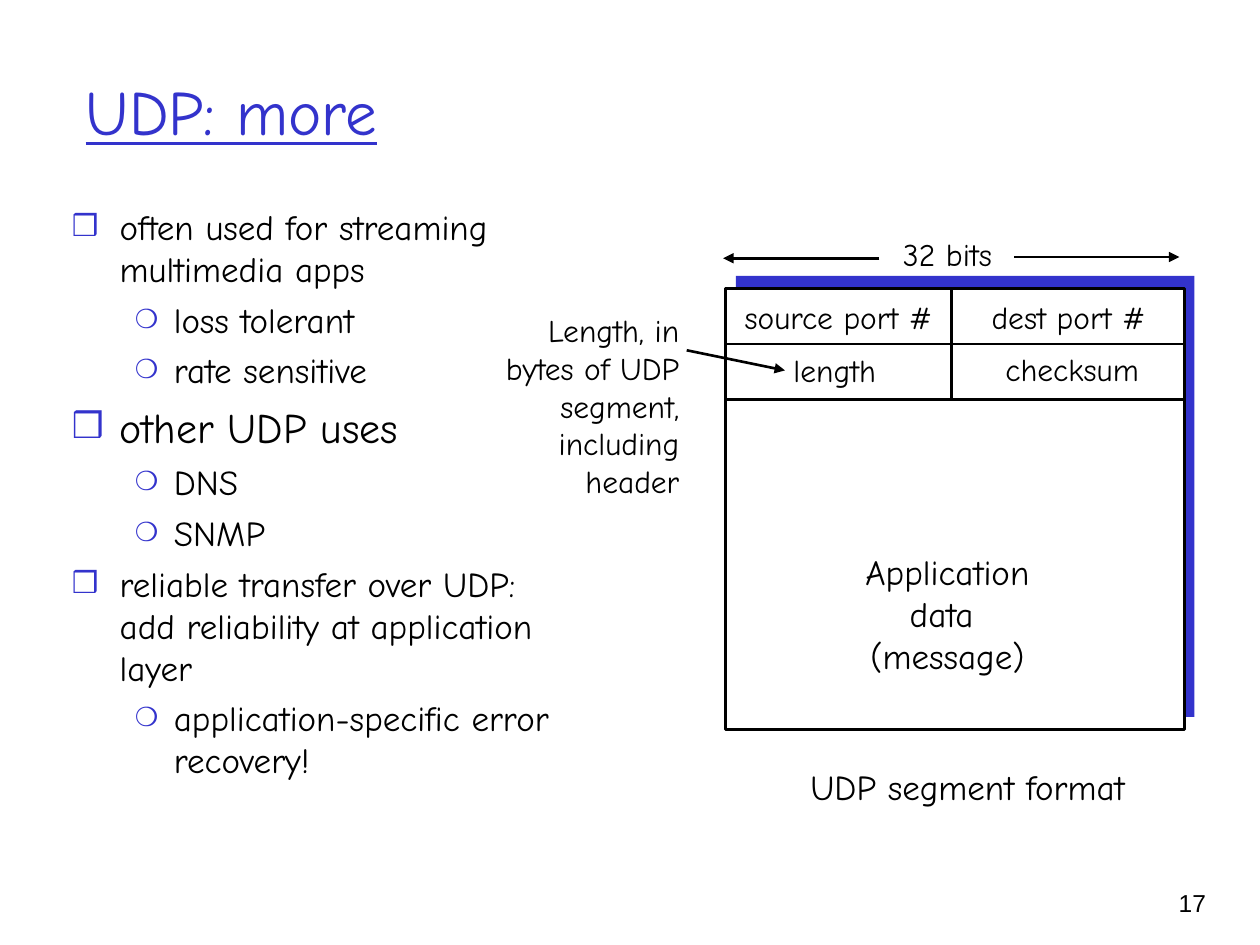
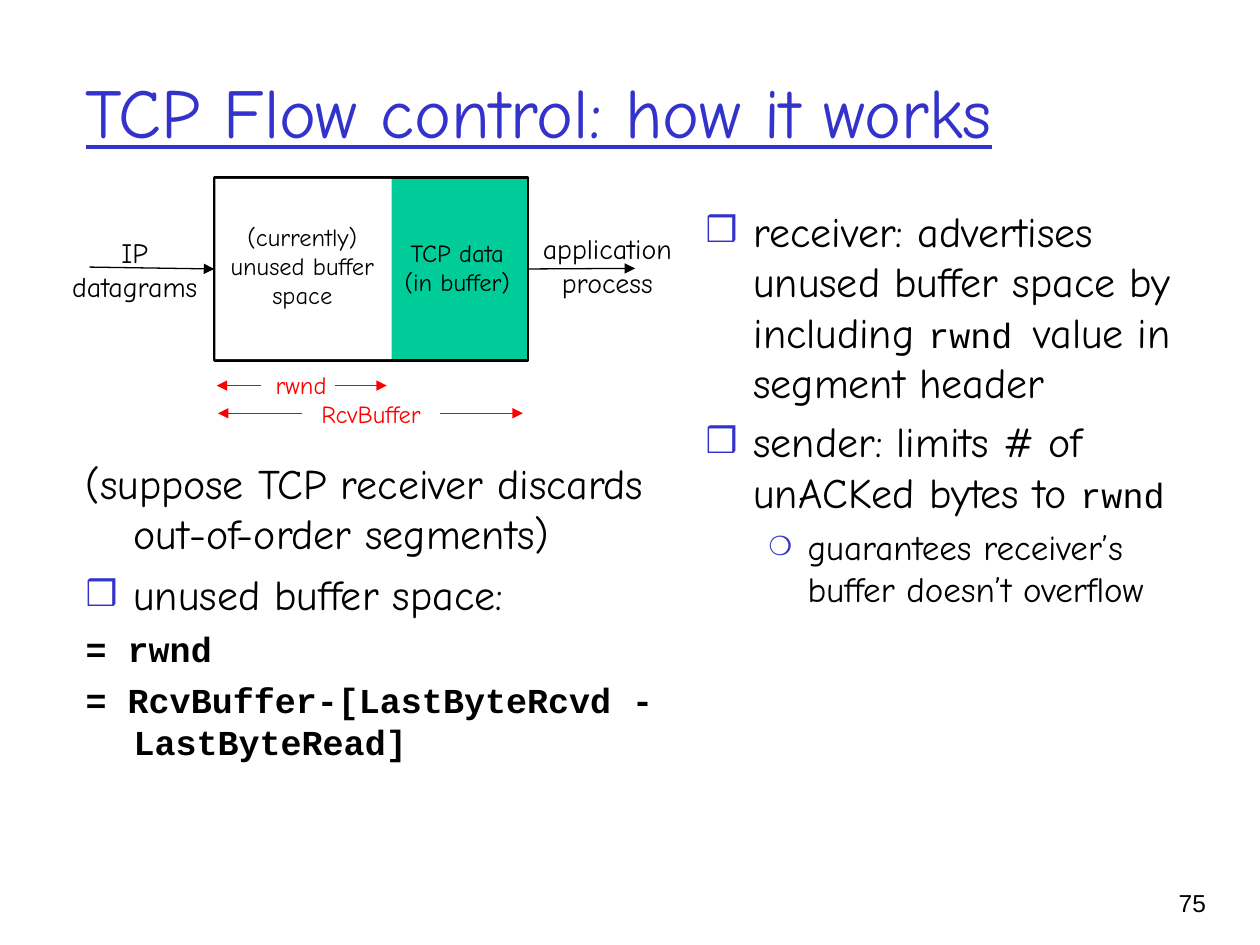
from lxml import etree
from pptx import Presentation
from pptx.dml.color import RGBColor
from pptx.enum.shapes import MSO_CONNECTOR, MSO_SHAPE
from pptx.enum.text import MSO_ANCHOR, MSO_AUTO_SIZE, PP_ALIGN
from pptx.oxml.ns import qn
from pptx.util import Inches, Pt

LEFT, CENTER, RIGHT = PP_ALIGN.LEFT, PP_ALIGN.CENTER, PP_ALIGN.RIGHT
TOP, MIDDLE = MSO_ANCHOR.TOP, MSO_ANCHOR.MIDDLE
NO_FIT, GROW = MSO_AUTO_SIZE.NONE, MSO_AUTO_SIZE.SHAPE_TO_FIT_TEXT
STRAIGHT, RECT = MSO_CONNECTOR.STRAIGHT, MSO_SHAPE.RECTANGLE

COLORS = {
    "accent": "3333CC",
    "ink": "000000",
    "paper": "FFFFFF",
    "data": "00CC99",
    "window": "FF0000",
}
HAND, CODE, NUMBER = "Comic Neue", "Courier New", "Arial"
LEVELS = {
    "box": {"level": 0, "left": 0.38, "hang": 0.38, "bullet": "❒", "percent": 85},
    "ring": {"level": 1, "left": 0.81, "hang": 0.31, "bullet": "❍", "percent": 75},
    "plain": {"level": 0, "left": 0.38, "hang": 0.38, "bullet": None},
}
SMALL_CODE = {"name": CODE, "size": 20}
BOLD_CODE = {"name": CODE, "size": 20, "bold": True}


def rgb(color):
    return RGBColor.from_string(COLORS[color])


class Deck:
    def __init__(self):
        self.prs = Presentation()
        self.prs.slide_width = Inches(10)
        self.prs.slide_height = Inches(7.5)
        self.s = None

    def slide(self, layout, title, size, width, number):
        self.s = self.prs.slides.add_slide(self.prs.slide_layouts[layout])
        tf = self.place(self.s.shapes.title, (0.58, 0.25, width, 1.25), MIDDLE)
        p = tf.paragraphs[0]
        p.alignment = LEFT
        self.run(p, title, size=size, color="accent", underline=True)
        self.text([number], (8.93, 7, 0.74, 0.5), 14, align=RIGHT, name=NUMBER)

    def place(self, sp, box, anchor=TOP):
        sp.left, sp.top, sp.width, sp.height = map(Inches, box)
        tf = sp.text_frame
        tf.word_wrap = True
        tf.auto_size = NO_FIT
        tf.vertical_anchor = anchor
        return tf

    def run(self, p, text, size=20, name=HAND, color="ink", **formats):
        r = p.add_run()
        r.text = text
        r.font.color.rgb = rgb(color)
        for key, value in {"size": Pt(size), "name": name, **formats}.items():
            setattr(r.font, key, value)

    def paragraphs(self, tf, items):
        for i, item in enumerate(items):
            yield (tf.add_paragraph() if i else tf.paragraphs[0]), item

    def bullet(self, p, kind):
        style = LEVELS[kind]
        p.level = style["level"]
        pPr = p._p.get_or_add_pPr()
        pPr.set("marL", str(Inches(style["left"])))
        pPr.set("indent", str(-Inches(style["hang"])))
        if style["bullet"] is None:
            etree.SubElement(pPr, qn("a:buNone"))
            return
        clr = etree.SubElement(pPr, qn("a:buClr"))
        etree.SubElement(clr, qn("a:srgbClr"), val=COLORS["accent"])
        etree.SubElement(pPr, qn("a:buSzPct"), val=str(style["percent"] * 1000))
        etree.SubElement(pPr, qn("a:buChar"), char=style["bullet"])

    def body(self, index, box, items):
        tf = self.place(self.s.placeholders[index], box)
        for p, (kind, before, *runs) in self.paragraphs(tf, items):
            self.bullet(p, kind)
            p.alignment = LEFT
            p.space_before = Pt(before)
            for text, formats in runs:
                self.run(p, text, **formats)

    def text(self, lines, box, size, align=CENTER, **formats):
        tf = self.s.shapes.add_textbox(*map(Inches, box)).text_frame
        tf.word_wrap = False
        tf.auto_size = GROW
        for p, line in self.paragraphs(tf, lines):
            p.alignment = align
            self.run(p, line, size, **formats)

    def rect(self, box, fill, outlined=False):
        sp = self.s.shapes.add_shape(RECT, *map(Inches, box))
        sp.shadow.inherit = False
        sp.fill.solid()
        sp.fill.fore_color.rgb = rgb(fill)
        if outlined:
            sp.line.color.rgb = rgb("ink")
            sp.line.width = Pt(1.5)
        else:
            sp.line.fill.background()
        return sp

    def line(self, start, end, width=1.5, color="ink", arrow=False):
        cx = self.s.shapes.add_connector(STRAIGHT, *map(Inches, start + end))
        cx.line.color.rgb = rgb(color)
        cx.line.width = Pt(width)
        if arrow:
            etree.SubElement(cx.line._get_or_add_ln(), qn("a:tailEnd"), type="triangle")
        etree.SubElement(cx._element.spPr, qn("a:effectLst"))
        return cx


def udp_slide(deck):
    deck.slide(1, "UDP: more", 36, 9.12, "17")
    deck.body(1, (0.47, 1.58, 4.17, 5.08), [
        ("box", 0, ("often used for streaming multimedia apps", {})),
        ("ring", 5, ("loss tolerant", {})),
        ("ring", 5, ("rate sensitive", {})),
        ("box", 6, ("other UDP uses", {"size": 24})),
        ("ring", 5, ("DNS", {})),
        ("ring", 5, ("SNMP", {})),
        ("box", 5, ("reliable transfer over UDP: add reliability at application layer", {})),
        ("ring", 5, ("application-specific error recovery!", {})),
    ])

    deck.rect((5.84, 2.19, 3.64, 3.5), "accent")
    deck.rect((5.76, 2.29, 3.64, 3.5), "paper", outlined=True)
    row_height = 0.44
    for top in (2.29, 2.29 + row_height):
        bottom = top + row_height
        deck.line((5.75, bottom), (9.39, bottom))
        deck.line((7.55, bottom), (7.55, top))
    for label, box in (
        ("source port #", (5.71, 2.32, 1.89, 0.4)),
        ("dest port #", (7.67, 2.32, 1.62, 0.4)),
        ("length", (6.1, 2.74, 1.05, 0.4)),
        ("checksum", (7.78, 2.73, 1.46, 0.4)),
        ("32 bits", (6.97, 1.82, 1.1, 0.4)),
    ):
        deck.text([label], box, 18)
    deck.line((8.05, 2.04), (9.36, 2.04), arrow=True)
    deck.line((6.98, 2.05), (5.74, 2.05), arrow=True)
    deck.text(["Application", "data ", "(message)"], (6.77, 4.32, 1.5, 1.1), 20)
    deck.text(["UDP segment format"], (6.33, 6.03, 2.7, 0.44), 20)
    deck.text(["Length, in", "bytes of UDP", "segment,", "including", "header"],
              (3.91, 2.42, 1.58, 1.6), 18, align=RIGHT)
    deck.line((5.45, 2.78), (6.23, 2.94), arrow=True)


def flow_control_slide(deck):
    deck.slide(3, "TCP Flow control: how it works", 40, 8.5, "75")
    large = {"size": 24}
    deck.body(1, (0.58, 3.58, 4.75, 3.25), [
        ("plain", 0, ("(suppose TCP receiver discards out-of-order segments)", large)),
        ("box", 6, ("unused buffer space:", large)),
        ("plain", 5, ("= rwnd", BOLD_CODE)),
        ("plain", 5, ("= RcvBuffer-[LastByteRcvd - LastByteRead]", BOLD_CODE)),
    ])
    deck.body(2, (5.5, 1.58, 4.25, 5.08), [
        ("box", 0,
         ("receiver: advertises unused buffer space by including ", large),
         ("rwnd ", SMALL_CODE),
         ("value in segment header", large)),
        ("box", 5,
         ("sender: limits # of unACKed bytes to ", large),
         ("rwnd", SMALL_CODE)),
        ("ring", 5, ("guarantees receiver’s buffer doesn’t overflow", {})),
    ])

    buffer = deck.rect((1.7, 1.41, 2.49, 1.45), "data", outlined=True)
    deck.rect((1.71, 1.42, 1.4, 1.43), "paper")
    arrival = deck.line((0.71, 2.12), (1.7, 2.13), 0.75, arrow=True)
    arrival.end_connect(buffer, 1)
    delivery = deck.line((4.19, 2.13), (5.04, 2.13), 0.75, arrow=True)
    delivery.begin_connect(buffer, 3)
    for lines, box, size in (
        (["IP", "datagrams"], (0.47, 1.82, 1.2, 0.64), 16),
        (["application", "process"], (4.21, 1.79, 1.22, 0.64), 16),
        (["TCP data", "(in buffer)"], (3.11, 1.84, 1.04, 0.57), 14),
        (["(currently)", "unused buffer", "space"], (1.73, 1.71, 1.34, 0.8), 14),
    ):
        deck.text(lines, box, size)

    for label, box, y, left, right in (
        ("rwnd", (1.99, 2.89, 0.8, 0.34), 3.06, (2.07, 1.72), (2.66, 3.07)),
        ("RcvBuffer", (2.35, 3.12, 1.19, 0.34), 3.28, (2.4, 1.73), (3.49, 4.15)),
    ):
        deck.text([label], box, 14, color="window")
        for start, end in (left, right):
            deck.line((start, y), (end, y), 0.75, "window", arrow=True)


def main():
    deck = Deck()
    udp_slide(deck)
    flow_control_slide(deck)
    deck.prs.save("out.pptx")


if __name__ == "__main__":
    main()
